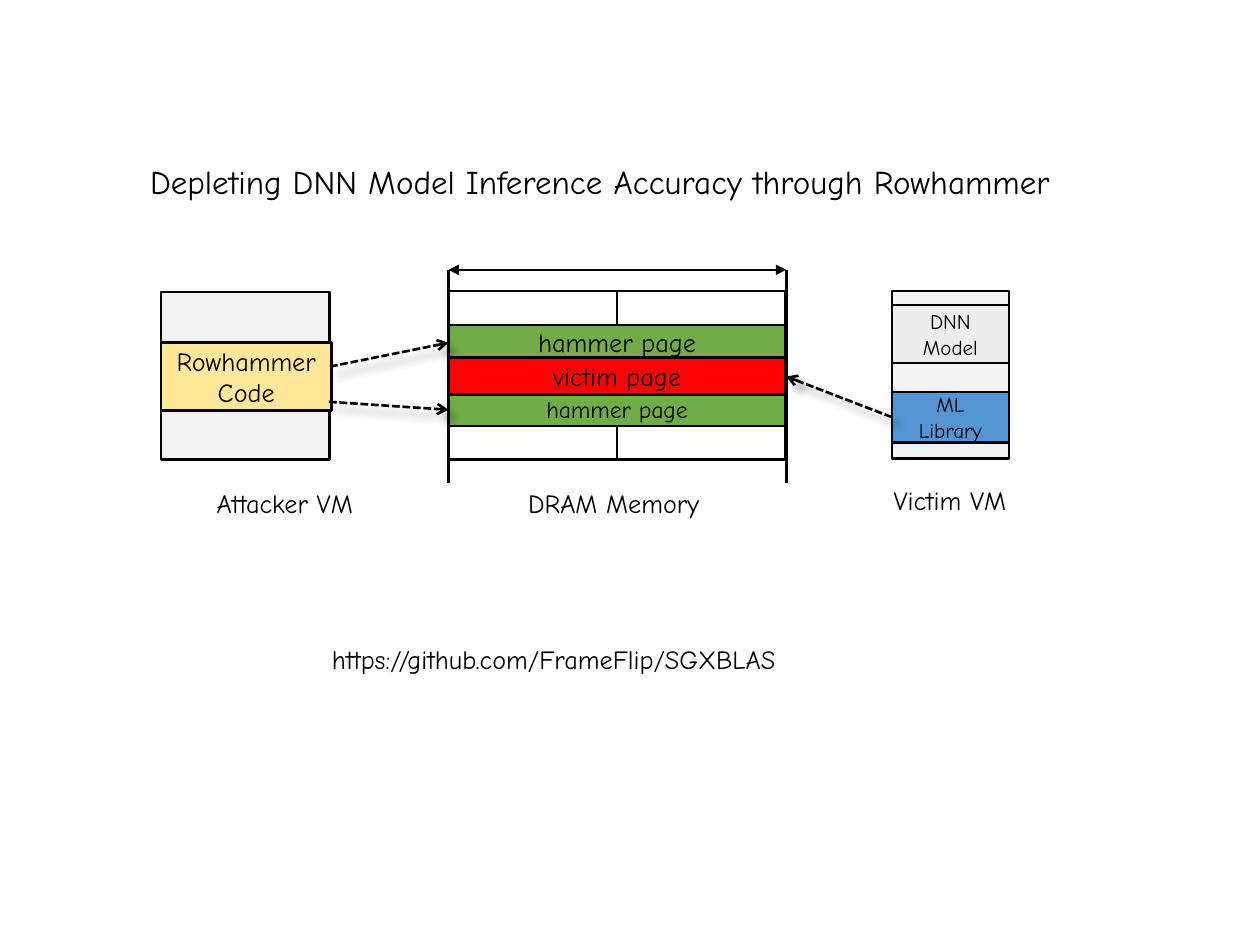
import lxml.etree
import pptx
import pptx.dml.color
import pptx.enum.dml
import pptx.enum.shapes
import pptx.enum.text
import pptx.oxml
import pptx.oxml.ns
import pptx.util

Cm = pptx.util.Cm
Pt = pptx.util.Pt
RGBColor = pptx.dml.color.RGBColor
ALIGN = pptx.enum.text.PP_ALIGN
ANCHOR = pptx.enum.text.MSO_ANCHOR

BLACK = RGBColor(0x00, 0x00, 0x00)
WHITE = RGBColor(0xFF, 0xFF, 0xFF)
GREEN = RGBColor(0x70, 0xAD, 0x47)
RED = RGBColor(0xFF, 0x00, 0x00)
YELLOW = RGBColor(0xFF, 0xE6, 0x99)
BLUE = RGBColor(0x54, 0x95, 0xD3)
LIGHT_GRAY = RGBColor(0xF2, 0xF2, 0xF2)
GRAY = RGBColor(0xED, 0xED, 0xED)

FONT = "Comic Neue"
BANK_LEFT, BANK_TOP, BANK_RIGHT = 9.04, 5.87, 15.85
CELL_WIDTH, CELL_HEIGHT = 3.4, 0.68


def write(frame, text, size, align=ALIGN.CENTER, spacing=None):
    """Put one formatted run in the first paragraph of a frame."""
    frame.word_wrap = True
    para = frame.paragraphs[0]
    para.alignment = align
    para.space_before = Pt(0)
    if spacing:
        para.line_spacing = spacing
    span = para.add_run()
    span.text = text
    span.font.name = FONT
    span.font.size = Pt(size)
    span.font.color.rgb = BLACK


def add_title(page, text):
    """Place the slide title."""
    title = page.shapes.title
    title.left, title.top, title.width, title.height = Cm(2.77), Cm(2.82), Cm(21.39), Cm(1.78)
    frame = title.text_frame
    frame.auto_size = pptx.enum.text.MSO_AUTO_SIZE.NONE
    frame.vertical_anchor = ANCHOR.MIDDLE
    write(frame, text, 18.9, ALIGN.LEFT, 0.9)


def add_block(page, left, top, width, height, color, text=None, size=15):
    """Draw an outlined memory block with an optional label."""
    box = page.shapes.add_shape(pptx.enum.shapes.MSO_SHAPE.RECTANGLE,
                                Cm(left), Cm(top), Cm(width), Cm(height))
    box.shadow.inherit = False
    box.fill.solid()
    box.fill.fore_color.rgb = color
    box.line.color.rgb = BLACK
    box.line.width = Pt(1.5)
    if text:
        frame = box.text_frame
        frame.margin_top = frame.margin_bottom = 0
        frame.vertical_anchor = ANCHOR.MIDDLE
        write(frame, text, size)


def add_label(page, left, top, width, height, text, spacing=None):
    """Add a centred caption."""
    box = page.shapes.add_textbox(Cm(left), Cm(top), Cm(width), Cm(height))
    write(box.text_frame, text, 15, spacing=spacing)


def add_line(page, start, end, head=None, tail=None):
    """Draw a black line with optional arrowheads and return it."""
    line = page.shapes.add_connector(pptx.enum.shapes.MSO_CONNECTOR.STRAIGHT,
                                     Cm(start[0]), Cm(start[1]), Cm(end[0]), Cm(end[1]))
    line.line.color.rgb = BLACK
    line.line.width = Pt(1.5)
    outline = line.line._get_or_add_ln()
    for tag, kind in (("a:headEnd", head), ("a:tailEnd", tail)):
        if kind:
            lxml.etree.SubElement(outline, pptx.oxml.ns.qn(tag), type=kind)
    lxml.etree.SubElement(line._element.spPr, pptx.oxml.ns.qn("a:effectLst"))
    return line


def add_access(page, start, end):
    """Draw a dashed arrow with a soft shadow."""
    line = add_line(page, start, end, tail="arrow")
    line.line.dash_style = pptx.enum.dml.MSO_LINE.SQUARE_DOT
    effects = line._element.spPr.find(pptx.oxml.ns.qn("a:effectLst"))
    effects.append(pptx.oxml.parse_xml(
        f'<a:outerShdw {pptx.oxml.ns.nsdecls("a")} blurRad="63500" dist="76200" dir="2700000">'
        '<a:srgbClr val="000000"><a:alpha val="40000"/></a:srgbClr></a:outerShdw>'))


def add_dram(page):
    """Draw the memory bank with its hammered pages."""
    width = 2 * CELL_WIDTH
    add_block(page, BANK_LEFT, 6.55, width, 0.71, GREEN, "hammer page")
    add_block(page, BANK_LEFT, 7.9, width, 0.71, GREEN, "hammer page", 13.5)
    for top in (8.59, BANK_TOP):
        for column in range(2):
            add_block(page, BANK_LEFT + column * CELL_WIDTH, top, CELL_WIDTH, CELL_HEIGHT, WHITE)
    for edge in (BANK_LEFT, BANK_RIGHT):
        add_line(page, (edge, 5.44), (edge, 9.73))
    add_block(page, BANK_LEFT, 7.21, width, 0.74, RED, "victim page")
    add_line(page, (BANK_LEFT, 5.44), (BANK_RIGHT, 5.44), "triangle", "triangle")
    add_label(page, 9.27, 9.7, 6.38, 0.89, "DRAM Memory ")


def add_attacker(page):
    """Draw the attacker machine and its accesses."""
    add_label(page, 2.77, 9.7, 5.94, 0.89, "Attacker VM")
    add_block(page, 3.25, 5.89, 3.4, 3.38, LIGHT_GRAY)
    add_block(page, 3.25, 6.91, 3.43, 1.37, YELLOW, "Rowhammer Code")
    add_access(page, (6.65, 7.39), (BANK_LEFT, 6.91))
    add_access(page, (6.63, 8.1), (BANK_LEFT, 8.26))


def add_victim(page):
    """Draw the victim machine and its access."""
    left, width = 17.98, 2.36
    add_block(page, left, BANK_TOP, width, 3.38, LIGHT_GRAY)
    add_block(page, left, 7.9, width, 1.02, BLUE, "ML Library", 12)
    add_block(page, left, 6.15, width, 1.17, GRAY, "DNN Model", 12)
    add_access(page, (left, 8.41), (BANK_RIGHT, 7.59))
    add_label(page, 16.18, 9.63, 5.94, 0.89, "Victim VM")


def main():
    """Build and save the slide."""
    deck = pptx.Presentation()
    deck.slide_width, deck.slide_height = Cm(25.4), Cm(19.05)
    page = deck.slides.add_slide(deck.slide_layouts[5])
    add_title(page, "Depleting DNN Model Inference Accuracy through Rowhammer")
    add_dram(page)
    add_attacker(page)
    add_victim(page)
    add_label(page, 5.13, 12.65, 12.07, 1.02, "https://github.com/FrameFlip/SGXBLAS", 1.3)
    deck.save("out.pptx")


if __name__ == "__main__":
    main()
